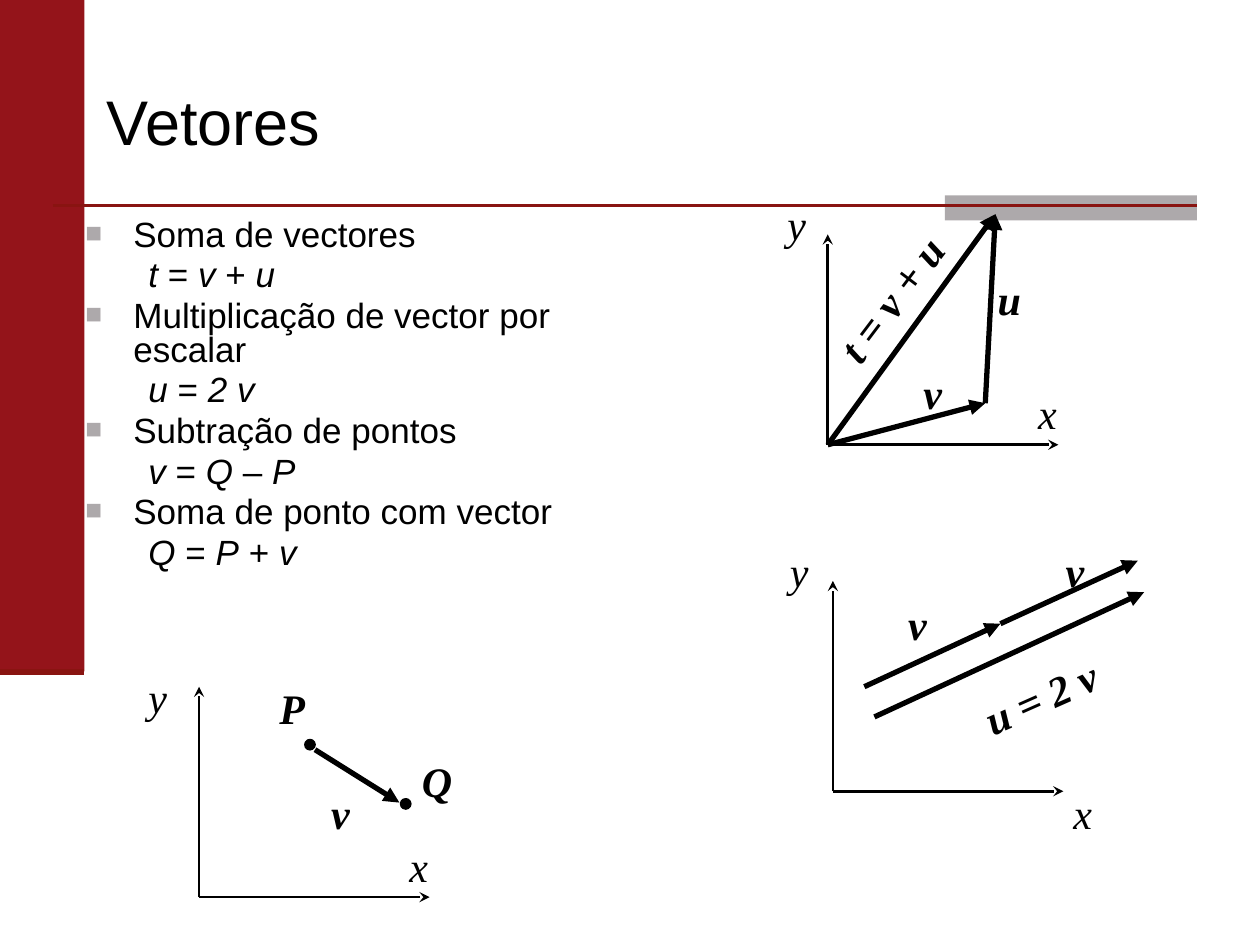
from dataclasses import dataclass

from lxml.etree import SubElement
from pptx import Presentation
from pptx.dml.color import RGBColor
from pptx.enum.shapes import MSO_CONNECTOR as Link, MSO_SHAPE as Kind
from pptx.enum.text import MSO_ANCHOR as Anchor, MSO_AUTO_SIZE as Fit, PP_ALIGN as Align
from pptx.oxml.ns import qn
from pptx.util import Inches, Pt

BLACK, RED, DARK, GRAY = "000000", "94141A", "891411", "ADA9AB"
SANS, SERIF = "Arial", "Times New Roman"


@dataclass
class Label:
    text: str
    left: float
    top: float
    width: float = 0.35
    bold: bool = True
    angle: float = 0


@dataclass
class Graph:
    x: float
    y: float
    labels: list[Label]
    arrows: list[tuple]
    dots: list[tuple]


@dataclass
class Item:
    head: str
    terms: list[str]
    first: bool


def paint(target, color: str) -> None:
    if hasattr(target, "solid"):
        target.solid()
        target.fore_color.rgb = RGBColor.from_string(color)
    else:
        target.rgb = RGBColor.from_string(color)


def add_run(para, text: str, size: float, face: str, bold=False, slant=False) -> None:
    run = para.add_run()
    run.text = text
    font = run.font
    font.name, font.size, font.bold, font.italic = face, Pt(size), bold, slant
    paint(font.color, BLACK)


def add_box(slide, left: float, top: float, width: float, height: float):
    box = slide.shapes.add_textbox(Inches(left), Inches(top), Inches(width), Inches(height))
    box.text_frame.word_wrap = True
    return box


def add_shape(slide, kind, left, top, width, height, fill: str, edge: str | None = None) -> None:
    shape = slide.shapes.add_shape(kind, Inches(left), Inches(top), Inches(width), Inches(height))
    shape.shadow.inherit = False
    paint(shape.fill, fill)
    if edge:
        paint(shape.line.fill, edge)
        shape.line.width = Pt(1)
    else:
        shape.line.fill.background()


def add_line(slide, start: tuple, end: tuple, color: str, width: float, tip: str = "") -> None:
    line = slide.shapes.add_connector(Link.STRAIGHT, *map(Inches, (*start, *end)))
    paint(line.line.fill, color)
    line.line.width = Pt(width)
    if tip:
        edge = line._element.spPr.find(qn("a:ln"))
        SubElement(edge, qn("a:tailEnd"), type=tip, w="med", len="med")
    SubElement(line._element.spPr, qn("a:effectLst"))


def add_label(slide, label: Label) -> None:
    box = add_box(slide, label.left, label.top, label.width, 0.5)
    box.rotation = label.angle
    box.text_frame.auto_size = Fit.SHAPE_TO_FIT_TEXT
    add_run(box.text_frame.paragraphs[0], label.text, 24, SERIF, label.bold, True)


def add_graph(slide, graph: Graph) -> None:
    base = (graph.x, graph.y)
    for end in ((graph.x + 1.83, graph.y), (graph.x, graph.y - 1.67)):
        add_line(slide, base, end, BLACK, 1.5, "stealth")
    for start, end in graph.arrows:
        add_line(slide, start, end, BLACK, 3, "triangle")
    for left, top in graph.dots:
        add_shape(slide, Kind.OVAL, left, top, 0.08, 0.08, BLACK, BLACK)
    for label in graph.labels:
        add_label(slide, label)


def set_para(para, left: float, hang: float, bullet: bool, first: bool) -> None:
    props = para._p.get_or_add_pPr()
    props.set("marL", str(Inches(left)))
    props.set("indent", str(-Inches(hang)))
    if bullet:
        tint = SubElement(props, qn("a:buClr"))
        SubElement(tint, qn("a:srgbClr"), val=GRAY)
        SubElement(props, qn("a:buSzPct"), val="80000")
        SubElement(props, qn("a:buFont"), typeface=SANS)
        SubElement(props, qn("a:buChar"), char="■")
    else:
        SubElement(props, qn("a:buNone"))
    para.line_spacing = 0.8
    para.space_before = Pt(0 if first else 4)


def add_item(frame, item: Item) -> None:
    head = frame.paragraphs[0] if item.first else frame.add_paragraph()
    set_para(head, 0.38, 0.38, True, item.first)
    add_run(head, item.head, 20, SANS)
    note = frame.add_paragraph()
    note.level = 1
    set_para(note, 0.81, 0.31, False, False)
    for spot, term in enumerate(item.terms):
        add_run(note, term, 20, SANS, slant=spot % 2 == 0)


ITEMS = [
    Item("Soma de vectores", ["t ", "=", " v ", "+", " u"], True),
    Item("Multiplicação de vector por escalar", ["u ", "=", " 2 v"], False),
    Item("Subtração de pontos", ["v", " = ", "Q", " – ", "P"], False),
    Item("Soma de ponto com vector", ["Q", " = ", "P", " + ", "v"], False),
]

ROOT, BEND, PEAK = (6.57, 3.53), (7.82, 3.2), (7.9, 1.7)
SUM = Graph(
    *ROOT,
    [Label("y", 6.15, 1.53, bold=False), Label("x", 8.14, 3.03, bold=False),
     Label("v", 7.23, 2.87), Label("u", 7.82, 2.12, 0.39),
     Label("t = v + u", 6.4, 2.12, 1.34, angle=307.1)],
    [(ROOT, BEND), (BEND, PEAK), (ROOT, PEAK)],
    [],
)
MID = (7.94, 4.95)
SCALE = Graph(
    6.61, 6.28,
    [Label("x", 8.42, 6.2, bold=False), Label("y", 6.17, 4.28, bold=False),
     Label("v", 7.11, 4.7), Label("v", 8.36, 4.28),
     Label("u = 2 v", 7.69, 5.28, 1.14, angle=336.1)],
    [((6.86, 5.45), MID), (MID, (9.03, 4.45)), ((6.94, 5.69), (9.08, 4.7))],
    [],
)
POINTS = Graph(
    1.58, 7.12,
    [Label("x", 3.15, 6.62, bold=False), Label("y", 1.08, 5.28, bold=False),
     Label("P", 2.12, 5.37, 0.4), Label("v", 2.53, 6.2), Label("Q", 3.25, 5.95, 0.44)],
    [((2.5, 5.95), (3.17, 6.37))],
    [(2.42, 5.87), (3.18, 6.34)],
)


def main() -> None:
    deck = Presentation()
    deck.slide_width, deck.slide_height = Inches(10), Inches(7.5)
    slide = deck.slides.add_slide(deck.slide_layouts[6])
    add_shape(slide, Kind.RECTANGLE, 0, 0, 0.67, 5.33, RED)
    add_shape(slide, Kind.RECTANGLE, 7.5, 1.55, 2, 0.2, GRAY)
    add_line(slide, (0.42, 1.63), (9.5, 1.63), DARK, 1.5)
    add_line(slide, (0, 5.33), (0.67, 5.33), DARK, 3.5)

    title = add_box(slide, 0.75, 0.33, 8.5, 1.25).text_frame
    title.vertical_anchor = Anchor.MIDDLE
    title.paragraphs[0].alignment = Align.JUSTIFY
    add_run(title.paragraphs[0], "Vetores", 36, SANS)

    body = add_box(slide, 0.58, 1.7, 4.75, 3.17).text_frame
    for item in ITEMS:
        add_item(body, item)
    for graph in (SUM, SCALE, POINTS):
        add_graph(slide, graph)
    deck.save("out.pptx")


if __name__ == "__main__":
    main()
